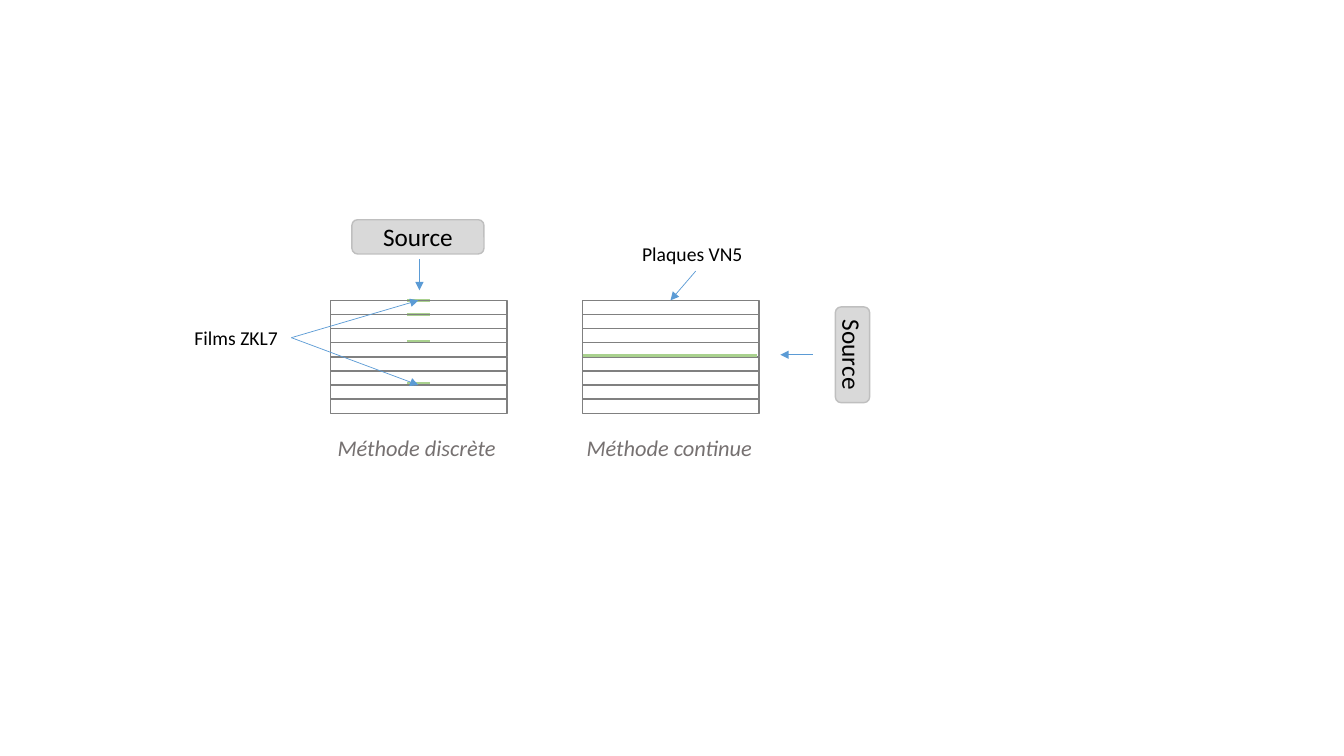
from lxml import etree
from pptx import Presentation
from pptx.dml.color import RGBColor
from pptx.enum.shapes import MSO_CONNECTOR, MSO_SHAPE
from pptx.enum.text import MSO_ANCHOR, MSO_AUTO_SIZE, PP_ALIGN
from pptx.oxml.ns import qn
from pptx.util import Inches, Pt

STRAIGHT = MSO_CONNECTOR.STRAIGHT
RECTANGLE = MSO_SHAPE.RECTANGLE
ROUNDED = MSO_SHAPE.ROUNDED_RECTANGLE
MIDDLE = MSO_ANCHOR.MIDDLE
CENTER = PP_ALIGN.CENTER
FIT_SHAPE = MSO_AUTO_SIZE.SHAPE_TO_FIT_TEXT

FONT = "Calibri"
COLORS = {
    "source": "D9D9D9",
    "source edge": "BFBFBF",
    "plate": "808080",
    "film": "A9D18E",
    "arrow": "5B9BD5",
    "text": "000000",
    "caption": "767171",
}

SOURCES = [
    (3.49, 2.18, 1.31, 0.34, 0),
    (7.98, 3.35, 0.95, 0.34, 90),
]
STACK_LEFTS = [3.28, 5.78]
STACK_TOP, PLATE_COUNT = 2.98, 8
PLATE_WIDTH, PLATE_HEIGHT = 1.75, 0.14
FILM_LEFT, FILM_RIGHT = 4.04, 4.27
FILM_HEIGHTS = [2.98, 3.12, 3.39, 3.81]
LONG_FILM = (5.78, 3.53, 7.51, 3.53)
LABELS = [
    ("Méthode discrète", 3.25, 4.26, 1.79, 0.37, 16, "caption"),
    ("Méthode continue", 5.72, 4.26, 1.86, 0.37, 16, "caption"),
    ("Plaques VN5", 6.27, 2.35, 1.25, 0.34, 14, "text"),
    ("Films ZKL7", 1.83, 3.18, 1.05, 0.34, 14, "text"),
]
ARROWS = [
    (4.16, 2.57, 4.16, 2.88),
    (8.06, 3.52, 7.74, 3.52),
    (6.9, 2.69, 6.65, 2.98),
    (2.89, 3.35, 4.15, 2.98),
    (2.89, 3.35, 4.15, 3.82),
]


def color(name):
    return RGBColor.from_string(COLORS[name])


def write(para, text, size, color_name):
    span = para.add_run()
    span.text = text
    span.font.name = FONT
    span.font.size = Pt(size)
    span.font.color.rgb = color(color_name)
    return span


def add_box(page, kind, place, edge):
    box = page.shapes.add_shape(kind, *map(Inches, place))
    box.shadow.inherit = False
    box.line.color.rgb = color(edge)
    box.line.width = Pt(1)
    return box


def add_source(page, place, angle):
    box = add_box(page, ROUNDED, place, "source edge")
    box.rotation = angle
    box.fill.solid()
    box.fill.fore_color.rgb = color("source")
    box.text_frame.vertical_anchor = MIDDLE
    para = box.text_frame.paragraphs[0]
    para.alignment = CENTER
    write(para, "Source", 18, "text")


def add_line(page, ends, color_name, width):
    line = page.shapes.add_connector(STRAIGHT, *map(Inches, ends))
    line.line.color.rgb = color(color_name)
    line.line.width = Pt(width)
    etree.SubElement(line._element.spPr, qn("a:effectLst"))
    return line


def add_arrow(page, ends):
    arrow = add_line(page, ends, "arrow", 0.5)
    etree.SubElement(arrow.line._get_or_add_ln(), qn("a:tailEnd"), type="triangle")


def add_label(page, text, place, size, color_name):
    box = page.shapes.add_textbox(*map(Inches, place))
    box.text_frame.word_wrap = False
    box.text_frame.auto_size = FIT_SHAPE
    span = write(box.text_frame.paragraphs[0], text, size, color_name)
    span.font.italic = color_name == "caption"


def main():
    deck = Presentation()
    deck.slide_width, deck.slide_height = Inches(13.33), Inches(7.5)
    page = deck.slides.add_slide(deck.slide_layouts[6])

    for *place, angle in SOURCES:
        add_source(page, place, angle)
    for height in FILM_HEIGHTS:
        add_line(page, (FILM_LEFT, height, FILM_RIGHT, height), "film", 2.25)
    for left in STACK_LEFTS:
        for row in range(PLATE_COUNT):
            top = STACK_TOP + row * PLATE_HEIGHT
            place = (left, top, PLATE_WIDTH, PLATE_HEIGHT)
            add_box(page, RECTANGLE, place, "plate").fill.background()
    add_line(page, LONG_FILM, "film", 2.25)
    for text, *place, size, color_name in LABELS:
        add_label(page, text, place, size, color_name)
    for ends in ARROWS:
        add_arrow(page, ends)

    deck.save("out.pptx")


if __name__ == "__main__":
    main()
